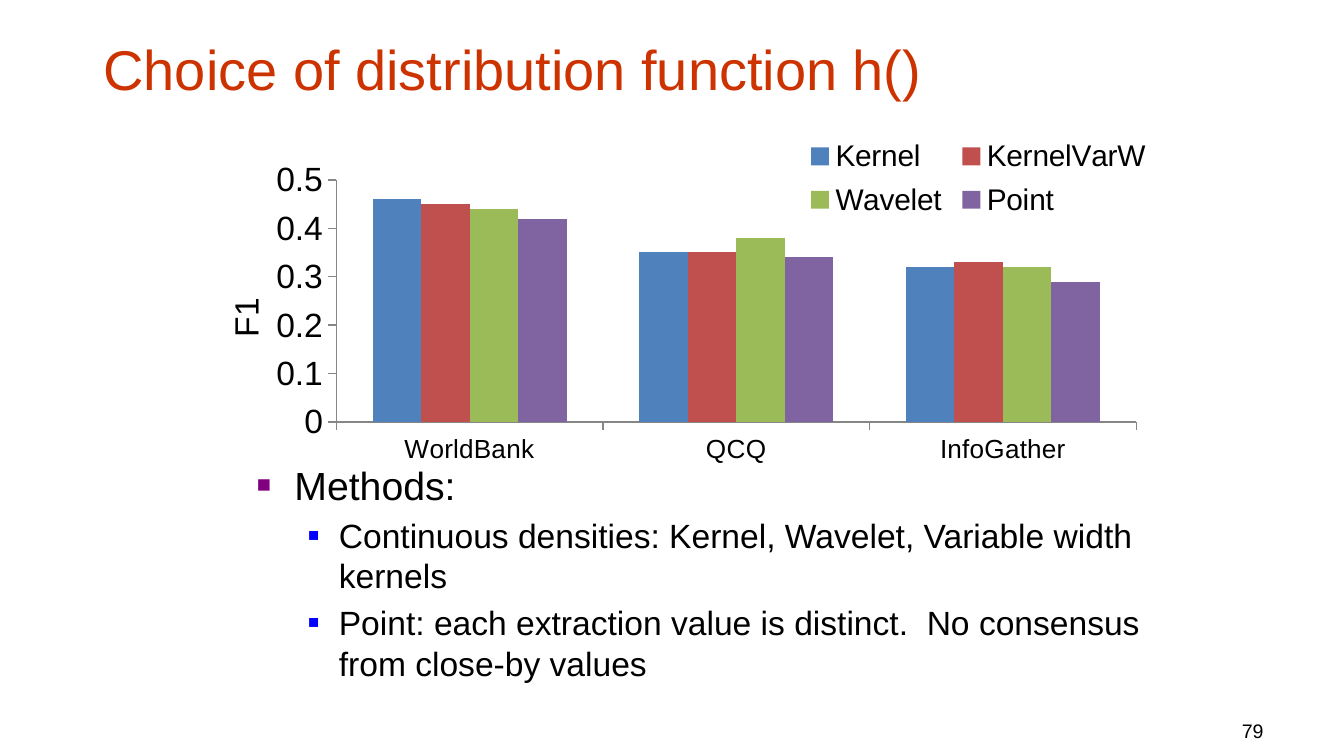
from dataclasses import dataclass

from lxml.etree import SubElement
from pptx import Presentation
from pptx.chart.data import CategoryChartData
from pptx.dml.color import RGBColor
from pptx.enum.chart import XL_CHART_TYPE, XL_LEGEND_POSITION, XL_TICK_MARK
from pptx.enum.text import MSO_ANCHOR, MSO_AUTO_SIZE, PP_ALIGN
from pptx.oxml import parse_xml
from pptx.oxml.ns import nsdecls, qn
from pptx.util import Cm, Pt


@dataclass(frozen=True)
class Theme:
    font: str = "Arial"
    text: str = "000000"
    title: str = "CC3300"
    axis: str = "868686"
    series: tuple = ("4F81BD", "C0504D", "9BBB59", "8064A2")
    bullets: tuple = ("800080", "0000FF")
    bullet_pct: tuple = (60, 55)
    body_sizes: tuple = (21, 18)
    title_size: float = 30
    axis_size: float = 18
    category_size: float = 14
    legend_size: float = 16
    number_size: float = 10.5


def format_font(font, theme, size, color=None):
    font.name = theme.font
    font.size = Pt(size)
    font.bold = False
    font.color.rgb = RGBColor.from_string(color or theme.text)


def write(p, text, theme, size, color=None, align=PP_ALIGN.LEFT, before=0):
    p.alignment = align
    p.space_before = Pt(before)
    r = p.add_run()
    r.text = text
    format_font(r.font, theme, size, color)


def set_layout(parent, index, inner=False, **fractions):
    """Place a chart part by fractions of the chart area (x, y, w, h)."""
    for old in parent.findall(qn("c:layout")):
        parent.remove(old)
    layout = parse_xml(f"<c:layout {nsdecls('c')}><c:manualLayout/></c:layout>")
    manual = layout[0]
    if inner:
        SubElement(manual, qn("c:layoutTarget")).set("val", "inner")
    for key in "xy":
        SubElement(manual, qn(f"c:{key}Mode")).set("val", "edge")
    for key, value in fractions.items():
        SubElement(manual, qn(f"c:{key}")).set("val", str(value))
    parent.insert(index, layout)


class SlideBuilder:
    def __init__(self, prs, theme):
        self.theme = theme
        self.slide = prs.slides.add_slide(prs.slide_layouts[1])

    def frame(self, sp, box, anchor):
        sp.left, sp.top, sp.width, sp.height = (Cm(v) for v in box)
        tf = sp.text_frame
        tf.word_wrap = True
        tf.auto_size = MSO_AUTO_SIZE.NONE
        tf.vertical_anchor = anchor
        return tf

    def title(self, text, box):
        tf = self.frame(self.slide.shapes.title, box, MSO_ANCHOR.BOTTOM)
        write(tf.paragraphs[0], text, self.theme, self.theme.title_size, self.theme.title)

    def bullet(self, p, level):
        pPr = p._p.get_or_add_pPr()
        left, hanging = ((0.71, 0.71), (1.55, 0.58))[level]
        pPr.set("marL", str(Cm(left)))
        pPr.set("indent", str(-Cm(hanging)))
        color = SubElement(pPr, qn("a:buClr"))
        SubElement(color, qn("a:srgbClr")).set("val", self.theme.bullets[level])
        pct = self.theme.bullet_pct[level] * 1000
        SubElement(pPr, qn("a:buSzPct")).set("val", str(pct))
        SubElement(pPr, qn("a:buFont")).set("typeface", self.theme.font)
        SubElement(pPr, qn("a:buChar")).set("char", "■")

    def body(self, items, box):
        tf = self.frame(self.slide.placeholders[1], box, MSO_ANCHOR.TOP)
        for i, (level, text) in enumerate(items):
            p = tf.add_paragraph() if i else tf.paragraphs[0]
            p.level = level
            self.bullet(p, level)
            size = self.theme.body_sizes[level]
            write(p, text, self.theme, size, before=0.2 * size if i else 0)

    def column_chart(self, categories, series, axis_title, box):
        theme = self.theme
        data = CategoryChartData(number_format="General")
        data.categories = categories
        for name, values in series.items():
            data.add_series(name, values)
        chart = self.slide.shapes.add_chart(
            XL_CHART_TYPE.COLUMN_CLUSTERED, *(Cm(v) for v in box), data).chart
        format_font(chart.font, theme, 10)
        chart.has_title = False

        plot = chart.plots[0]
        plot.gap_width = 150
        plot.overlap = 0
        plot.vary_by_categories = False
        for ser, color in zip(plot.series, theme.series):
            ser.format.fill.solid()
            ser.format.fill.fore_color.rgb = RGBColor.from_string(color)

        value_axis = chart.value_axis
        axis_sizes = ((chart.category_axis, theme.category_size),
                      (value_axis, theme.axis_size))
        for axis, size in axis_sizes:
            axis.has_major_gridlines = False
            axis.major_tick_mark = XL_TICK_MARK.OUTSIDE
            axis.format.line.color.rgb = RGBColor.from_string(theme.axis)
            axis.format.line.width = Pt(0.75)
            format_font(axis.tick_labels.font, theme, size)
        value_axis.minimum_scale, value_axis.maximum_scale = 0, 0.5
        value_axis.major_unit = 0.1
        title = value_axis.axis_title
        write(title.text_frame.paragraphs[0], axis_title, theme, theme.axis_size,
              align=PP_ALIGN.CENTER)
        title.text_frame._txBody.bodyPr.set("rot", "-5400000")
        title.text_frame._txBody.bodyPr.set("vert", "horz")

        chart.has_legend = True
        legend = chart.legend
        legend.position = XL_LEGEND_POSITION.RIGHT
        legend.include_in_layout = False
        format_font(legend.font, theme, theme.legend_size)

        set_layout(chart._chartSpace.chart.plotArea, 0, inner=True,
                   x=0.17, y=0.17, w=0.81, h=0.67)
        set_layout(title._element, 1, x=0.05, y=0.48)
        set_layout(legend._element, 1, x=0.64, y=0.03, w=0.36, h=0.27)

    def page_number(self, text, box):
        sp = self.slide.shapes.add_textbox(0, 0, 0, 0)
        tf = self.frame(sp, box, MSO_ANCHOR.BOTTOM)
        write(tf.paragraphs[0], text, self.theme, self.theme.number_size,
              align=PP_ALIGN.RIGHT)


def main():
    prs = Presentation()
    prs.slide_width, prs.slide_height = Cm(25.4), Cm(14.29)
    slide = SlideBuilder(prs, Theme())
    slide.title("Choice of distribution function h()", (1.7, 0.64, 22.71, 1.42))
    slide.body([
        (0, "Methods:"),
        (1, "Continuous densities: Kernel, Wavelet, Variable width kernels"),
        (1, "Point: each extraction value is distinct.  No consensus from close-by values"),
    ], (4.6, 8.59, 17.22, 3.96))
    slide.column_chart(
        ["WorldBank", "QCQ", "InfoGather"],
        {"Kernel": (0.46, 0.35, 0.32),
         "KernelVarW": (0.45, 0.35, 0.33),
         "Wavelet": (0.44, 0.38, 0.32),
         "Point": (0.42, 0.34, 0.29)},
        "F1", (3.18, 2.24, 18.67, 6.83))
    slide.page_number("79", (18.85, 13.18, 5.28, 0.97))
    prs.save("out.pptx")


if __name__ == "__main__":
    main()
